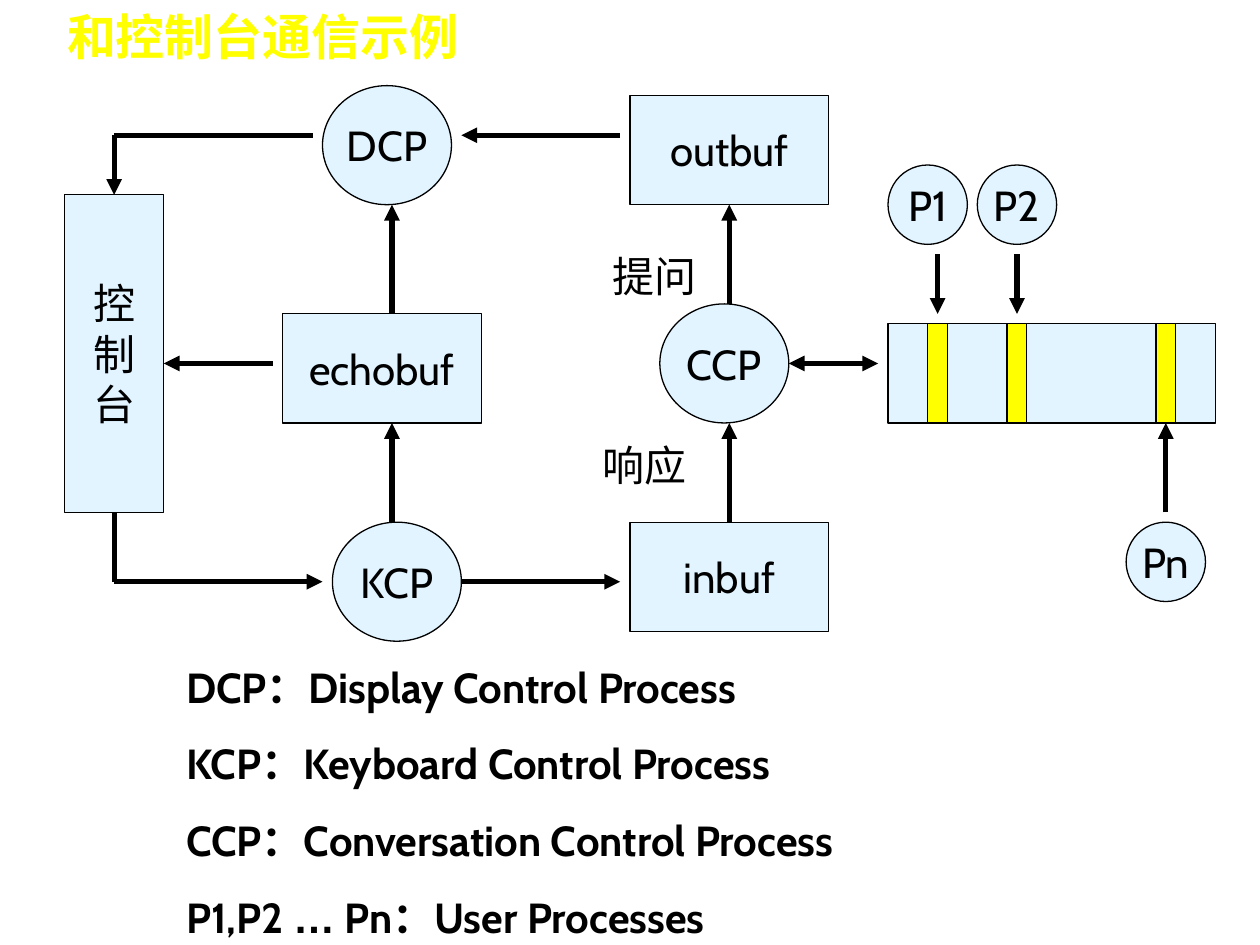
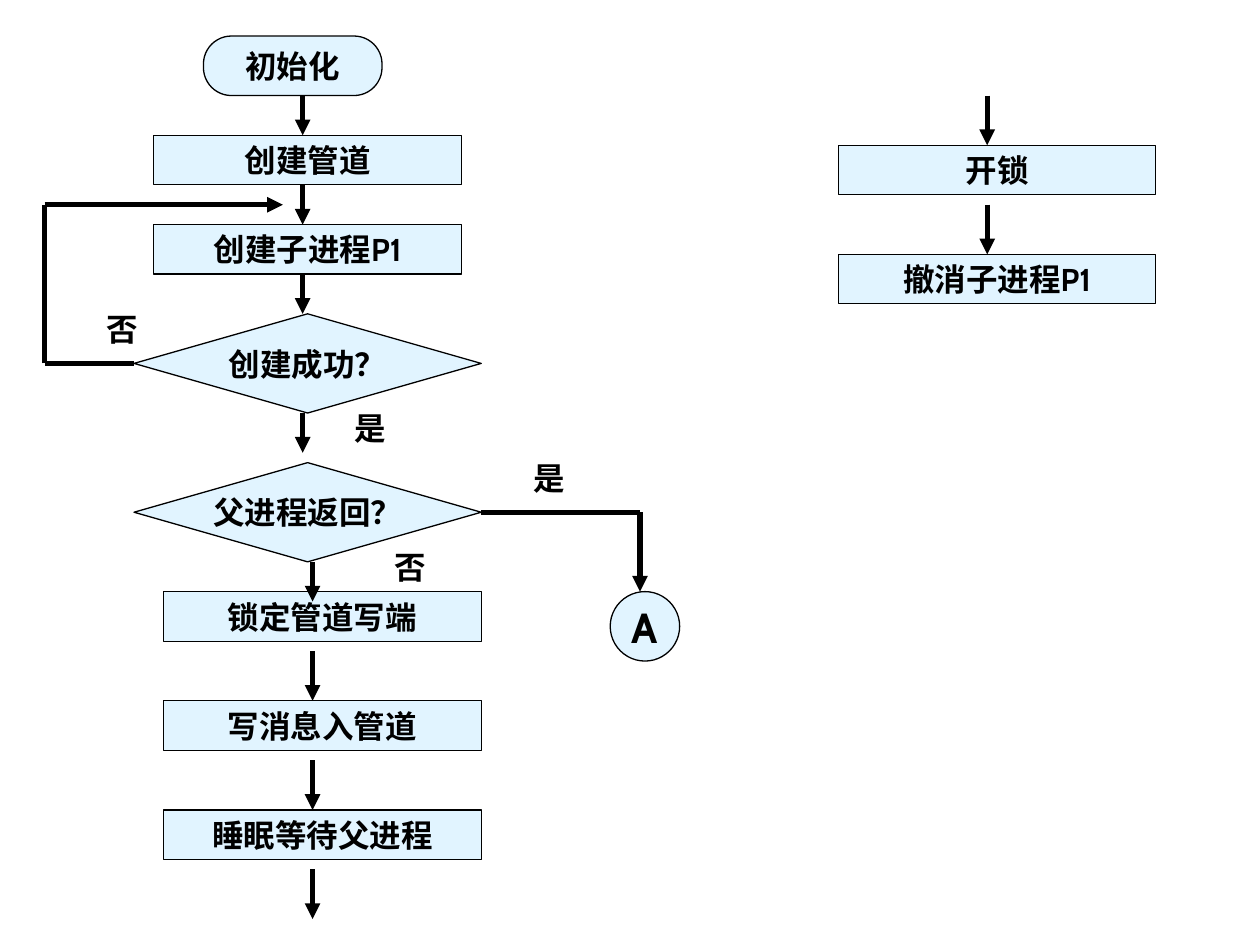
from itertools import pairwise
from typing import NamedTuple

from lxml.etree import SubElement
from pptx import Presentation
from pptx.dml.color import RGBColor
from pptx.enum.shapes import MSO_CONNECTOR, MSO_SHAPE
from pptx.enum.text import MSO_ANCHOR, PP_ALIGN
from pptx.oxml.ns import qn
from pptx.slide import Slide
from pptx.text.text import TextFrame
from pptx.util import Inches, Length, Mm, Pt

BLACK = RGBColor(0x00, 0x00, 0x00)
PALE = RGBColor(0xE1, 0xF4, 0xFF)
YELLOW = RGBColor(0xFF, 0xFF, 0x00)
FONT = "Cabin"
DOTS = "…"
DOT_FONT = "Arial"

CELL = Mm(2)
LEFT = Inches(0.04)
TOP = Inches(0.05)

BOX = MSO_SHAPE.RECTANGLE
OVAL = MSO_SHAPE.OVAL
RHOMB = MSO_SHAPE.DIAMOND
PILL = MSO_SHAPE.ROUNDED_RECTANGLE


class Style(NamedTuple):
    size: int
    bold: bool = False
    color: RGBColor = BLACK


PLAIN = Style(24)
STRONG = Style(24, True)
STEP = Style(18, True)
TITLE = Style(28, True, YELLOW)


class Node(NamedTuple):
    """A filled shape, placed in grid cells."""
    text: str
    col: float
    row: float
    wide: float
    high: float
    kind: MSO_SHAPE = BOX
    style: Style = PLAIN
    fill: RGBColor = PALE


class Label(NamedTuple):
    text: str
    col: float
    row: float
    wide: float
    high: float
    style: Style = PLAIN


class Route(NamedTuple):
    """Straight legs through grid points, with an arrow at the end."""
    points: list[tuple[float, float]]
    both: bool = False


def x_at(col: float) -> Length:
    return Length(LEFT + round(col * CELL))


def y_at(row: float) -> Length:
    return Length(TOP + round(row * CELL))


def span(count: float) -> Length:
    return Length(round(count * CELL))


def down(col: float, start: float, end: float) -> Route:
    return Route([(col, start), (col, end)])


def across(row: float, start: float, end: float, both: bool = False) -> Route:
    return Route([(start, row), (end, row)], both)


def write(frame: TextFrame, text: str, style: Style, align: PP_ALIGN,
          gap: float = 0) -> None:
    for index, line in enumerate(text.split("\n")):
        para = frame.add_paragraph() if index else frame.paragraphs[0]
        para.alignment = align
        para.space_before = Pt(gap if index else 0)
        for part in filter(None, line.partition(DOTS)):
            run = para.add_run()
            run.text = part
            run.font.name = DOT_FONT if part == DOTS else FONT
            run.font.size = Pt(style.size)
            run.font.bold = style.bold
            run.font.color.rgb = style.color


def add_node(slide: Slide, node: Node) -> None:
    shape = slide.shapes.add_shape(node.kind, x_at(node.col), y_at(node.row),
                                   span(node.wide), span(node.high))
    shape.shadow.inherit = False
    shape.fill.solid()
    shape.fill.fore_color.rgb = node.fill
    shape.line.color.rgb = BLACK
    shape.line.width = Pt(0.75)
    if node.kind == PILL:
        shape.adjustments[0] = 0.47
    frame = shape.text_frame
    frame.word_wrap = False
    frame.vertical_anchor = MSO_ANCHOR.MIDDLE
    if node.text:
        write(frame, node.text, node.style, PP_ALIGN.CENTER)


def add_label(slide: Slide, label: Label) -> None:
    box = slide.shapes.add_textbox(x_at(label.col), y_at(label.row),
                                   span(label.wide), span(label.high))
    box.text_frame.word_wrap = True
    write(box.text_frame, label.text, label.style, PP_ALIGN.LEFT, gap=15)


def add_route(slide: Slide, route: Route) -> None:
    for start, end in pairwise(route.points):
        leg = slide.shapes.add_connector(
            MSO_CONNECTOR.STRAIGHT, x_at(start[0]), y_at(start[1]),
            x_at(end[0]), y_at(end[1]))
        leg.line.color.rgb = BLACK
        leg.line.width = Pt(3)
        props = leg.element.spPr
        line = props.find(qn("a:ln"))
        if route.both:
            SubElement(line, qn("a:headEnd"), type="triangle")
        if end == route.points[-1]:
            SubElement(line, qn("a:tailEnd"), type="triangle")
        SubElement(props, qn("a:effectLst"))


def draw(slide: Slide, nodes: list[Node], routes: list[Route],
         labels: list[Label]) -> None:
    for node in nodes:
        add_node(slide, node)
    for route in routes:
        add_route(slide, route)
    for label in labels:
        add_label(slide, label)


def disc(text: str, col: float, row: float) -> Node:
    return Node(text, col, row, 13, 12, OVAL)


def buffer(text: str, col: float, row: float) -> Node:
    return Node(text, col, row, 20, 11)


def user(text: str, col: float, row: float) -> Node:
    return Node(text, col, row, 8, 8, OVAL)


def step(text: str, col: float, row: float, wide: float = 32) -> Node:
    return Node(text, col, row, wide, 5, BOX, STEP)


def test(text: str, row: float) -> Node:
    return Node(text, 13, row, 35, 10, RHOMB, STEP)


def note(text: str, col: float, row: float) -> Label:
    return Label(text, col, row, 10, 5, STEP)


def draw_console(slide: Slide) -> None:
    nodes = [
        Node("控\n制\n台", 6, 19, 10, 32),
        disc("DCP", 32, 8),
        buffer("echobuf", 28, 31),
        disc("KCP", 33, 52),
        buffer("inbuf", 63, 52),
        disc("CCP", 66, 30),
        buffer("outbuf", 63, 9),
        Node("", 89, 32, 33, 10),
        *(Node("", col, 32, 2, 10, fill=YELLOW) for col in (93, 101, 116)),
        user("P1", 89, 16),
        user("P2", 98, 16),
        user("Pn", 113, 52),
    ]
    routes = [
        *(down(39, *rows) for rows in ((52, 42), (31, 20))),
        *(down(73, *rows) for rows in ((52, 42), (30, 20))),
        across(58, 46, 62),
        Route([(11, 51), (11, 58), (32, 58)]),
        across(13, 62, 46),
        across(36, 27, 16),
        Route([(31, 13), (11, 13), (11, 19)]),
        across(36, 79, 88, both=True),
        down(117, 51, 42),
        *(down(col, 25, 31) for col in (94, 102)),
    ]
    legend = "\n".join((
        "DCP：Display Control Process",
        "KCP：Keyboard Control Process",
        "CCP：Conversation Control Process",
        "P1,P2 … Pn：User Processes",
    ))
    labels = [
        Label("提问", 60, 24, 13, 6.4),
        Label("响应", 59, 43, 13, 6.4),
        Label(legend, 17, 65.4, 80, 29.6, STRONG),
        Label("和控制台通信示例", 5, -0.6, 43.6, 7.2, TITLE),
    ]
    draw(slide, nodes, routes, labels)


def draw_flow(slide: Slide) -> None:
    nodes = [
        Node("初始化", 20, 3, 18, 6, PILL, STEP),
        step("创建管道", 15, 13, 31),
        step("创建子进程P1", 15, 22, 31),
        test("创建成功？", 31),
        test("父进程返回？", 46),
        step("锁定管道写端", 16, 59),
        step("写消息入管道", 16, 70),
        step("睡眠等待父进程", 16, 81),
        Node("A", 61, 59, 7, 7, OVAL, STRONG),
        step("开锁", 84, 14),
        step("撤消子进程P1", 84, 25),
    ]
    routes = [
        *(down(30, row, row + 4) for row in (9, 18, 27, 41)),
        down(31, 56, 60),
        *(down(31, row, row + 5) for row in (65, 76, 87)),
        *(down(99, row, row + 5) for row in (9, 20)),
        Route([(48, 51), (64, 51), (64, 59)]),
        Route([(13, 36), (4, 36), (4, 20), (28, 20)]),
    ]
    labels = [
        note("是", 52, 45),
        note("否", 38, 54),
        note("是", 34, 40),
        note("否", 9, 30),
    ]
    draw(slide, nodes, routes, labels)


def main() -> None:
    deck = Presentation()
    deck.slide_width = Inches(10)
    deck.slide_height = Inches(7.5)
    for paint in (draw_console, draw_flow):
        paint(deck.slides.add_slide(deck.slide_layouts[6]))
    deck.save("out.pptx")


if __name__ == "__main__":
    main()
